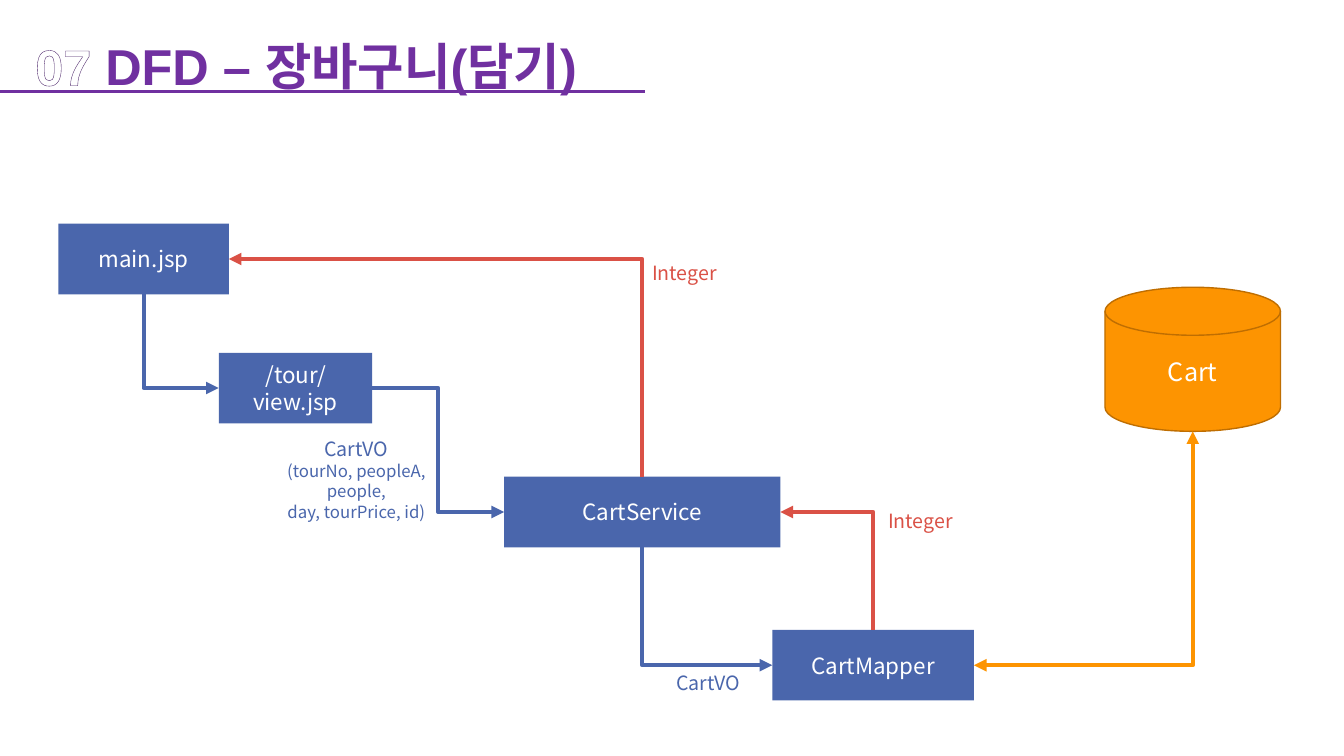
from pptx import Presentation
from pptx.dml.color import RGBColor
from pptx.enum.shapes import MSO_CONNECTOR as CONN, MSO_SHAPE as SHAPE
from pptx.enum.text import MSO_ANCHOR as ANCHOR, MSO_AUTO_SIZE as AUTO, PP_ALIGN as ALIGN
from pptx.oxml import parse_xml
from pptx.oxml.ns import nsdecls, qn
from pptx.util import Inches, Pt
from lxml import etree

BLUE = RGBColor(0x4A, 0x66, 0xAC)
RED = RGBColor(0xDA, 0x51, 0x46)
ORANGE = RGBColor(0xFD, 0x94, 0x01)
BROWN = RGBColor(0xBF, 0x6E, 0x01)
PURPLE = RGBColor(0x70, 0x30, 0xA0)
WHITE = RGBColor(0xFF, 0xFF, 0xFF)
SANS = "Noto Sans CJK KR"
TOP, LEFT, BOTTOM, RIGHT = range(4)  # connection sites of a rectangle


def add_run(p, text, size, color, name=SANS, bold=False):
    r = p.add_run()
    r.text = text
    for key, value in {"size": Pt(size), "name": name, "bold": bold}.items():
        setattr(r.font, key, value)
    r.font.color.rgb = color
    etree.SubElement(r.font._element, qn("a:ea")).set("typeface", SANS)
    return r


def add_line(kind, points, color, width):
    c = s.shapes.add_connector(kind, *[Inches(v) for v in points])
    c.line.color.rgb = color
    c.line.width = Pt(width)
    etree.SubElement(c._element.spPr, qn("a:effectLst"))
    return c


prs = Presentation()
prs.slide_width, prs.slide_height = Inches(13.33), Inches(7.5)
s = prs.slides.add_slide(prs.slide_layouts[5])

# Title with an outlined number, and the rule under it
title = s.shapes.title
for key, value in {"left": 0.25, "top": 0, "width": 12.53, "height": 1.01}.items():
    setattr(title, key, Inches(value))
tf = title.text_frame
for key, value in {"word_wrap": True, "auto_size": AUTO.NONE,
                   "vertical_anchor": ANCHOR.TOP}.items():
    setattr(tf, key, value)
p = tf.paragraphs[0]
p.alignment, p.line_spacing = ALIGN.LEFT, 1.5
number = add_run(p, "07", 36, WHITE, "Arial", True)
number.font._element.insert(0, parse_xml(
    f'<a:ln {nsdecls("a")} w="9525"><a:solidFill><a:srgbClr val="461E64"/></a:solidFill></a:ln>'))
add_run(p, " DFD – 장바구니(담기)", 36, PURPLE, "Arial", True)
add_line(CONN.STRAIGHT, (0, 0.91, 6.4, 0.91), PURPLE, 2.25)

# Pages, service, mapper and the database
nodes = {}
for text, shape, box, size, fill, edge in [
    ("main.jsp", SHAPE.RECTANGLE, (0.58, 2.22, 1.69, 0.7), 16, BLUE, None),
    ("/tour/view.jsp", SHAPE.RECTANGLE, (2.17, 3.5, 1.52, 0.7), 16, BLUE, None),
    ("CartService", SHAPE.RECTANGLE, (5, 4.73, 2.74, 0.7), 16, BLUE, None),
    ("CartMapper", SHAPE.RECTANGLE, (7.66, 6.25, 2, 0.7), 16, BLUE, None),
    ("Cart", SHAPE.FLOWCHART_MAGNETIC_DISK, (10.96, 2.85, 1.74, 1.43), 18, ORANGE, BROWN),
]:
    sp = s.shapes.add_shape(shape, *[Inches(v) for v in box])
    sp.shadow.inherit = False
    sp.fill.solid()
    sp.fill.fore_color.rgb = fill
    if edge:
        sp.line.color.rgb = edge
        sp.line.width = Pt(1)
    else:
        sp.line.fill.background()
    sp.text_frame.word_wrap = True
    sp.text_frame.vertical_anchor = ANCHOR.MIDDLE
    p = sp.text_frame.paragraphs[0]
    p.alignment = ALIGN.CENTER
    add_run(p, text, size, WHITE)
    nodes[text] = sp

# Flows, each drawn from its target back to its source
for target, target_site, source, source_site, color, preset, heads in [
    ("/tour/view.jsp", LEFT, "main.jsp", BOTTOM, BLUE, "bentConnector2", ["headEnd"]),
    ("CartService", LEFT, "/tour/view.jsp", RIGHT, BLUE, "bentConnector3", ["headEnd"]),
    ("CartMapper", LEFT, "CartService", BOTTOM, BLUE, "bentConnector2", ["headEnd"]),
    ("CartService", RIGHT, "CartMapper", TOP, RED, "bentConnector2", ["headEnd"]),
    ("main.jsp", RIGHT, "CartService", TOP, RED, "bentConnector2", ["headEnd"]),
    ("CartMapper", RIGHT, "Cart", 3, ORANGE, "bentConnector2", ["headEnd", "tailEnd"]),
]:
    c = add_line(CONN.ELBOW, (0, 0, 1, 1), color, 3)
    c.begin_connect(nodes[target], target_site)
    c.end_connect(nodes[source], source_site)
    if source == "Cart":  # site 3 of the disk is its bottom centre
        disk = nodes[source]
        c.end_x, c.end_y = disk.left + disk.width // 2, disk.top + disk.height
    c._element.spPr.find(qn("a:prstGeom")).set("prst", preset)
    for head in heads:
        etree.SubElement(c.line._get_or_add_ln(), qn(f"a:{head}")).set("type", "triangle")

# Labels of the data passed along
for box, color, align, lines in [
    ((8.71, 5, 2.84, 0.34), RED, ALIGN.LEFT, [("Integer", 14)]),
    ((6.37, 2.54, 2.84, 0.34), RED, ALIGN.LEFT, [("Integer", 14)]),
    ((2.57, 4.29, 1.93, 0.94), BLUE, ALIGN.CENTER,
     [("CartVO", 14), ("(tourNo, peopleA, people,", 12), ("day, tourPrice, id)", 12)]),
    ((6.2, 6.61, 1.65, 0.34), BLUE, ALIGN.CENTER, [("CartVO", 14)]),
]:
    tf = s.shapes.add_textbox(*[Inches(v) for v in box]).text_frame
    tf.word_wrap = True
    for i, (text, size) in enumerate(lines):
        p = tf.add_paragraph() if i else tf.paragraphs[0]
        p.alignment = align
        add_run(p, text, size, color)

prs.save("out.pptx")
